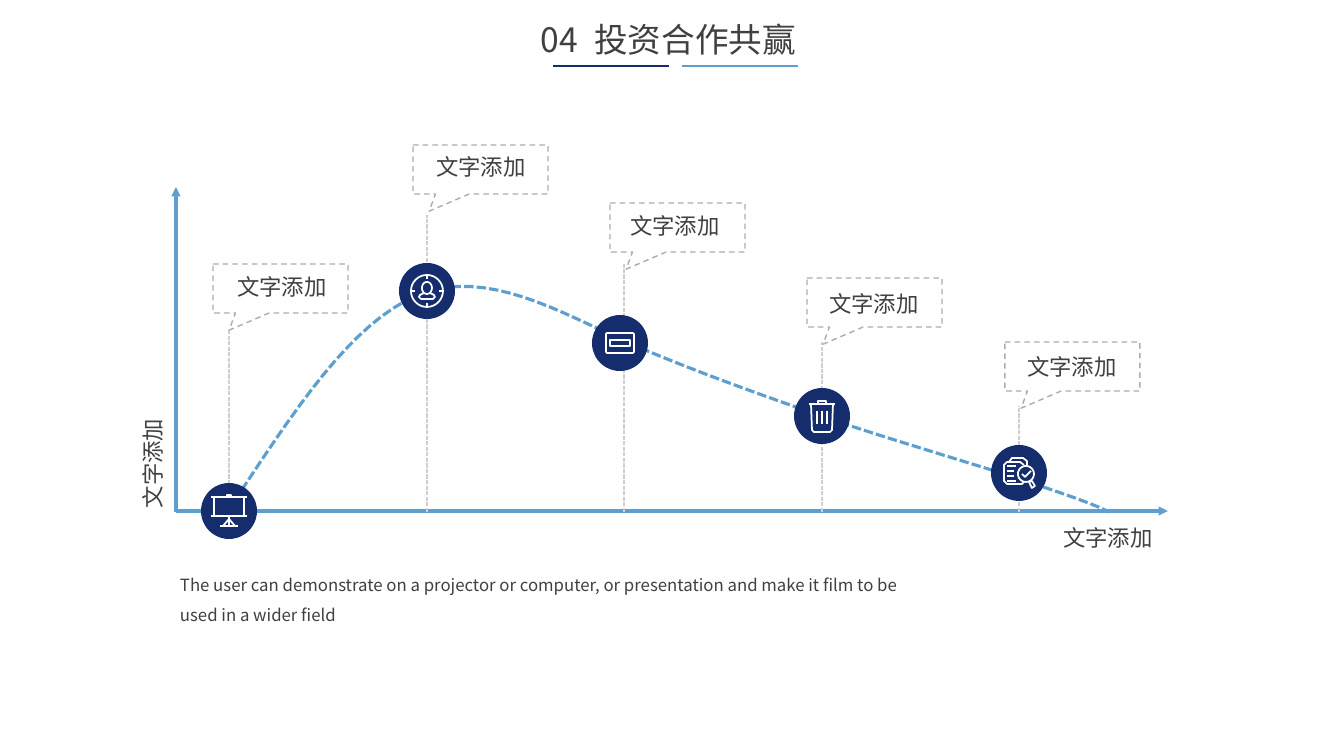
"""Build the investment cooperation slide: a dashed curve with five marked stages."""
from math import cos, pi, sin

from lxml.etree import SubElement
from pptx import Presentation
from pptx.dml.color import RGBColor
from pptx.enum.dml import MSO_LINE
from pptx.enum.shapes import MSO_CONNECTOR, MSO_SHAPE
from pptx.enum.text import MSO_ANCHOR, PP_ALIGN
from pptx.oxml.ns import qn
from pptx.util import Pt

PX = 914400 / 100.8
FONT = "Noto Sans CJK SC"
NAVY = RGBColor(0x15, 0x2D, 0x6C)
BLUE = RGBColor(0x5D, 0x9F, 0xCE)
GUIDE = RGBColor(0xD0, 0xCE, 0xCE)
CALLOUT = RGBColor(0xAF, 0xAB, 0xAB)
INK = RGBColor(0x40, 0x40, 0x40)
WHITE = RGBColor(0xFF, 0xFF, 0xFF)


def arc(cx, cy, rx, ry, start=0, end=360, steps=32):
    """Return points along an elliptical arc, angles in degrees."""
    angles = [(start + (end - start) * i / steps) * pi / 180 for i in range(steps + 1)]
    return [(cx + rx * cos(a), cy + ry * sin(a)) for a in angles]


def box(left, top, right, bottom):
    """Return the closed outline of a rectangle."""
    return [(left, top), (right, top), (right, bottom), (left, bottom), (left, top)]


BOARD = [
    [(-18, -14), (18, -14)], [(-18, 5), (18, 5)],
    [(-15, -14), (-15, 5)], [(15, -14), (15, 5)], box(-2, -16, 2, -14),
    [(0, 5), (0, 15)], [(-6, 15), (0, 8), (6, 15)], [(-9, 15), (9, 15)],
]
INVESTOR = [
    arc(0, 0, 16, 16), arc(0, -3, 5, 6),
    [(-3, 2), (-7, 4), (-8, 6), (-6, 8), (6, 8), (8, 6), (7, 4), (3, 2)],
    [(0, -16), (0, -12)], [(0, 12), (0, 16)], [(-16, 0), (-12, 0)], [(12, 0), (16, 0)],
]
CARD = [
    [(-13, -10), (13, -10), (14, -9), (14, 9), (13, 10), (-13, 10), (-14, 9), (-14, -9), (-13, -10)],
    box(-10, -3, 10, 3),
]
BIN = [
    [(-13, -12), (13, -12)], [(-4, -12), (-4, -15), (4, -15), (4, -12)],
    [(-11, -12), (-10, 14), (-8, 16), (8, 16), (10, 14), (11, -12)],
    *[[(x, -5), (x, 8)] for x in (-5, 0, 5)],
]
REVIEW = [
    [(5, 9), (3, 11), (-12, 11), (-15, 8), (-15, -8), (-12, -11), (1, -11), (5, -8)],
    [(-10, -11), (-7, -15), (4, -15), (8, -12), (8, -8)],
    arc(7, 1, 8, 8), [(3, 1), (6, 4), (12, -2)],
    [(10, 9), (13, 15), (16, 13), (13, 8), (10, 9)],
    *[[(-12, y), (right, y)] for y, right in ((-7, -3), (-2, -5), (3, -5), (8, -3))],
]

TITLE = ("04", " ", "投资合作共赢")
CAPTION = "文字添加"
NOTE = ("The user can demonstrate on a projector or computer, or presentation "
        "and make it film to be used in a wider field")
STAGES = [
    {"guide": (229, 330), "callout": (213, 264), "label": (216, 268), "dot": (229, 511), "icon": BOARD},
    {"guide": (427, 215), "callout": (413, 145), "label": (415, 148), "dot": (427, 291), "icon": INVESTOR},
    {"guide": (624, 264), "callout": (610, 203), "label": (609, 207), "dot": (620, 343), "icon": CARD},
    {"guide": (822, 342), "callout": (807, 278), "label": (808, 285), "dot": (822, 416), "icon": BIN},
    {"guide": (1019, 406), "callout": (1005, 342), "label": (1006, 348), "dot": (1019, 473), "icon": REVIEW},
]
AXES = [((176, 511), (1168, 511)), ((176, 512), (176, 187))]
CURVE = [
    (228, 511), (295, 409), (351, 323), (418, 295), (486, 267), (562, 313), (631, 344), (699, 373),
    (762, 395), (827, 418), (892, 440), (974, 464), (1020, 479), (1067, 495), (1094, 504), (1109, 512),
]
TITLE_RULES = [(553, 669, NAVY), (682, 798, BLUE)]
CALLOUT_SIZE = (135, 49)
LABEL_SIZE = (132, 37)
RADIUS = 28
BASE = 512


def emu(*lengths):
    return [round(length * PX) for length in lengths]


def style_line(line, color, width, dash=None):
    line.color.rgb = color
    line.width = Pt(width)
    if dash:
        line.dash_style = dash


def add_line(shapes, start, end, color, width, dash=None, arrow=False):
    connector = shapes.add_connector(MSO_CONNECTOR.STRAIGHT, *emu(*start, *end))
    style_line(connector.line, color, width, dash)
    properties = connector._element.spPr
    if arrow:
        SubElement(properties.find(qn("a:ln")), qn("a:tailEnd"), type="triangle")
    SubElement(properties, qn("a:effectLst"))


def add_strokes(shapes, strokes, color, width, dash=None):
    first, *others = strokes
    builder = shapes.build_freeform(*emu(*first[0]), scale=1.0)
    builder.add_line_segments([emu(*point) for point in first[1:]], close=False)
    for stroke in others:
        builder.move_to(*emu(*stroke[0]))
        builder.add_line_segments([emu(*point) for point in stroke[1:]], close=False)
    outline = builder.convert_to_shape()
    outline.shadow.inherit = False
    outline.fill.background()
    style_line(outline.line, color, width, dash)


def add_text(shapes, place, pieces, size, align, inset=0, spacing=None):
    text_box = shapes.add_textbox(*emu(*place))
    frame = text_box.text_frame
    frame.word_wrap = True
    frame.vertical_anchor = MSO_ANCHOR.MIDDLE
    frame.margin_left = frame.margin_right = emu(inset)[0]
    frame.margin_top = frame.margin_bottom = 0
    paragraph = frame.paragraphs[0]
    paragraph.alignment = align
    if spacing:
        paragraph.line_spacing = spacing
    for piece in pieces:
        run = paragraph.add_run()
        run.text = piece
        run.font.size = Pt(size)
        run.font.name = FONT
        run.font.color.rgb = INK
        SubElement(run._r.get_or_add_rPr(), qn("a:ea"), typeface=FONT)
    return text_box


def curve_points(knots, steps=16):
    points = [knots[0]]
    for i in range(0, len(knots) - 1, 3):
        for t in (step / steps for step in range(1, steps + 1)):
            weights = ((1 - t) ** 3, 3 * t * (1 - t) ** 2, 3 * t * t * (1 - t), t ** 3)
            points.append(tuple(sum(w * knot[axis] for w, knot in zip(weights, knots[i:i + 4]))
                                for axis in (0, 1)))
    return points


def main():
    deck = Presentation()
    deck.slide_width, deck.slide_height = emu(1344, 756)
    shapes = deck.slides.add_slide(deck.slide_layouts[6]).shapes

    for start, end in AXES:
        add_line(shapes, start, end, BLUE, 2.25, arrow=True)
    add_strokes(shapes, [curve_points(CURVE)], BLUE, 2.25, MSO_LINE.SQUARE_DOT)
    for stage in STAGES:
        x, top = stage["guide"]
        add_line(shapes, (x, BASE), (x, top), GUIDE, 1, MSO_LINE.SQUARE_DOT)

    for stage in STAGES:
        callout = shapes.add_shape(MSO_SHAPE.RECTANGULAR_CALLOUT, *emu(*stage["callout"], *CALLOUT_SIZE))
        callout.adjustments[0], callout.adjustments[1] = -0.38, 0.85
        callout.shadow.inherit = False
        callout.fill.background()
        style_line(callout.line, CALLOUT, 1, MSO_LINE.DASH)

        x, y = stage["dot"]
        dot = shapes.add_shape(MSO_SHAPE.OVAL, *emu(x - RADIUS, y - RADIUS, 2 * RADIUS, 2 * RADIUS))
        dot.shadow.inherit = False
        dot.fill.solid()
        dot.fill.fore_color.rgb = NAVY
        dot.line.fill.background()
        icon = [[(x + dx, y + dy) for dx, dy in stroke] for stroke in stage["icon"]]
        add_strokes(shapes, icon, WHITE, 1.25)
        add_text(shapes, (*stage["label"], *LABEL_SIZE), [CAPTION], 16, PP_ALIGN.CENTER)

    add_text(shapes, (1042, 519, *LABEL_SIZE), [CAPTION], 16, PP_ALIGN.CENTER)
    vertical_caption = add_text(shapes, (87, 445, *LABEL_SIZE), [CAPTION], 16, PP_ALIGN.CENTER)
    vertical_caption.rotation = 270
    add_text(shapes, (170, 560, 769, 69), [NOTE], 12, PP_ALIGN.LEFT, inset=10, spacing=1.5)

    title = add_text(shapes, (531, 14, 290, 50), TITLE, 24, PP_ALIGN.JUSTIFY, inset=10)
    title.text_frame.paragraphs[0].runs[1]._r.rPr.set("spc", "600")
    for left, right, color in TITLE_RULES:
        add_line(shapes, (left, 66), (right, 66), color, 2)
    deck.save("out.pptx")


if __name__ == "__main__":
    main()
